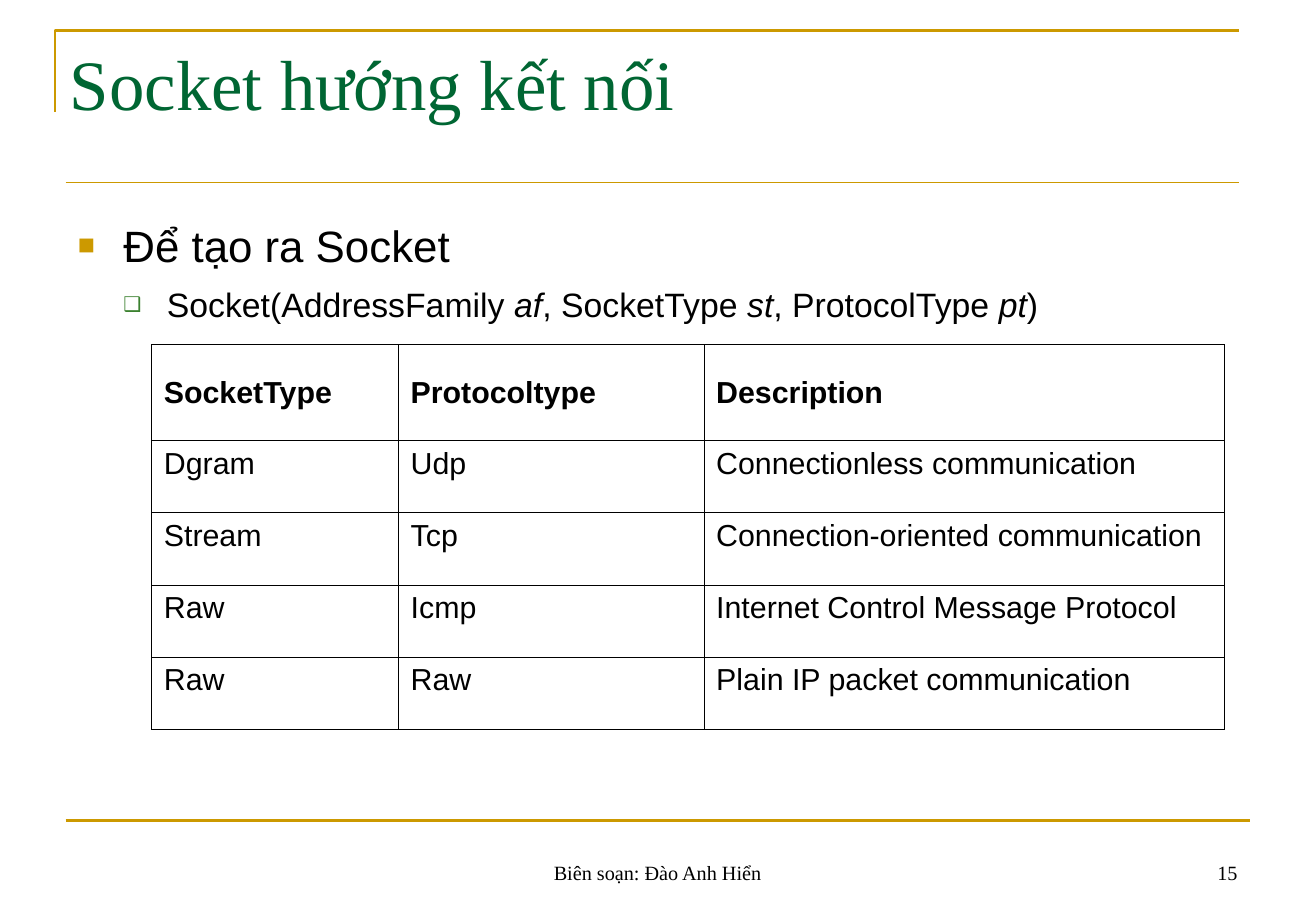
from lxml import etree
from pptx import Presentation
from pptx.dml.color import RGBColor
from pptx.enum.shapes import MSO_CONNECTOR
from pptx.enum.text import MSO_ANCHOR, MSO_AUTO_SIZE, PP_ALIGN
from pptx.oxml.ns import qn
from pptx.util import Pt

LINE = MSO_CONNECTOR.STRAIGHT
TOP, MID, LOW = MSO_ANCHOR.TOP, MSO_ANCHOR.MIDDLE, MSO_ANCHOR.BOTTOM
LEFT, MIDDLE, RIGHT = PP_ALIGN.LEFT, PP_ALIGN.CENTER, PP_ALIGN.RIGHT
FIXED = MSO_AUTO_SIZE.NONE

SANS, SERIF = "Arial", "Times New Roman"
GOLD, GREEN, LEAF, BLACK = "CC9900", "006633", "3B812F", "000000"

TITLE = "Socket hướng kết nối"
ITEMS = [
    dict(runs=[("Để tạo ra Socket", False)], size=26, level=0, gap=0,
         left=27, hang=27, mark="■", tint=GOLD, scale=65),
    dict(runs=[("Socket(AddressFamily ", False), ("af", True),
               (", SocketType ", False), ("st", True),
               (", ProtocolType ", False), ("pt", True), (")", False)],
         size=20, level=1, gap=7.5, left=52.75, hang=25.75,
         mark="❑", tint=LEAF, scale=60),
]
ROWS = [
    ("SocketType", "Protocoltype", "Description"),
    ("Dgram", "Udp", "Connectionless communication"),
    ("Stream", "Tcp", "Connection-oriented communication"),
    ("Raw", "Icmp", "Internet Control Message Protocol"),
    ("Raw", "Raw", "Plain IP packet communication"),
]
WIDTHS = [146.4, 181.2, 308.6]
HEAD, ROW = 57, 42.75
FOOT = [
    ("Biên soạn: Đào Anh Hiển", 266.6, 247, MIDDLE),
    ("15", 558.9, 182.2, RIGHT),
]
RULES = [(39, 486.25, 741.2, 1.5), (39, 108, 734.7, 0.75)]
FRAME = [(32.6, 66.2), (32.6, 18), (734.7, 18)]


def color(code):
    return RGBColor.from_string(code)


def write(para, text, size, face, tint, bold=False, italic=False):
    run = para.add_run()
    run.text = text
    font = run.font
    font.size, font.name = Pt(size), face
    font.bold, font.italic = bold, italic
    font.color.rgb = color(tint)


def place(shape, x, y, w, h):
    shape.left, shape.top, shape.width, shape.height = map(Pt, (x, y, w, h))


def setup(frame, anchor):
    frame.word_wrap = True
    frame.auto_size = FIXED
    frame.vertical_anchor = anchor


def add(parent, tag, **attrs):
    return etree.SubElement(parent, qn(tag), attrs)


def bullet(para, item):
    props = para._p.get_or_add_pPr()
    props.set("marL", str(Pt(item["left"])))
    props.set("indent", str(-Pt(item["hang"])))
    add(add(props, "a:buClr"), "a:srgbClr", val=item["tint"])
    add(props, "a:buSzPct", val=str(item["scale"] * 1000))
    add(props, "a:buFont", typeface=SANS)
    add(props, "a:buChar", char=item["mark"])


def border(cell):
    props = cell._tc.get_or_add_tcPr()
    for tag in ("a:lnL", "a:lnR", "a:lnT", "a:lnB"):
        edge = add(props, tag, w=str(Pt(0.45)))
        add(add(edge, "a:solidFill"), "a:srgbClr", val=BLACK)


def draw_rules(shapes):
    pen = shapes.build_freeform(Pt(FRAME[0][0]), Pt(FRAME[0][1]))
    pen.add_line_segments([(Pt(x), Pt(y)) for x, y in FRAME[1:]], close=False)
    frame = pen.convert_to_shape()
    frame.shadow.inherit = False
    frame.fill.background()
    frame.line.color.rgb = color(GOLD)
    frame.line.width = Pt(1.5)
    for x, y, end, width in RULES:
        rule = shapes.add_connector(LINE, Pt(x), Pt(y), Pt(end), Pt(y))
        rule.line.color.rgb = color(GOLD)
        rule.line.width = Pt(width)
        add(rule._element.spPr, "a:effectLst")


def draw_text(slide):
    title, body = slide.shapes.title, slide.placeholders[1]
    place(title, 34.3, 19.7, 702, 90)
    setup(title.text_frame, TOP)
    para = title.text_frame.paragraphs[0]
    para.alignment = LEFT
    write(para, TITLE, 42, SERIF, GREEN)
    place(body, 39, 126, 692.6, 356.4)
    frame = body.text_frame
    setup(frame, TOP)
    for i, item in enumerate(ITEMS):
        para = frame.add_paragraph() if i else frame.paragraphs[0]
        para.level = item["level"]
        para.space_before = Pt(item["gap"])
        bullet(para, item)
        for text, italic in item["runs"]:
            write(para, text, item["size"], SANS, BLACK, italic=italic)


def draw_table(shapes):
    high = HEAD + ROW * (len(ROWS) - 1)
    grid = shapes.add_table(len(ROWS), len(WIDTHS), Pt(90), Pt(204.25),
                            Pt(sum(WIDTHS)), Pt(high)).table
    grid.horz_banding = grid.first_row = False
    for col, width in zip(grid.columns, WIDTHS):
        col.width = Pt(width)
    for r, texts in enumerate(ROWS):
        grid.rows[r].height = Pt(ROW if r else HEAD)
        for c, text in enumerate(texts):
            cell = grid.cell(r, c)
            cell.vertical_anchor = TOP if r else MID
            border(cell)
            cell.fill.background()
            write(cell.text_frame.paragraphs[0], text, 18, SANS, BLACK,
                  bold=r == 0)


def draw_foot(shapes):
    for text, x, width, align in FOOT:
        box = shapes.add_textbox(Pt(x), Pt(492.1), Pt(width), Pt(36))
        setup(box.text_frame, LOW)
        para = box.text_frame.paragraphs[0]
        para.alignment = align
        write(para, text, 12, SERIF, BLACK)


def main():
    deck = Presentation()
    deck.slide_width, deck.slide_height = Pt(780.48), Pt(540)
    slide = deck.slides.add_slide(deck.slide_layouts[1])
    draw_rules(slide.shapes)
    draw_text(slide)
    draw_table(slide.shapes)
    draw_foot(slide.shapes)
    deck.save("out.pptx")


if __name__ == "__main__":
    main()
